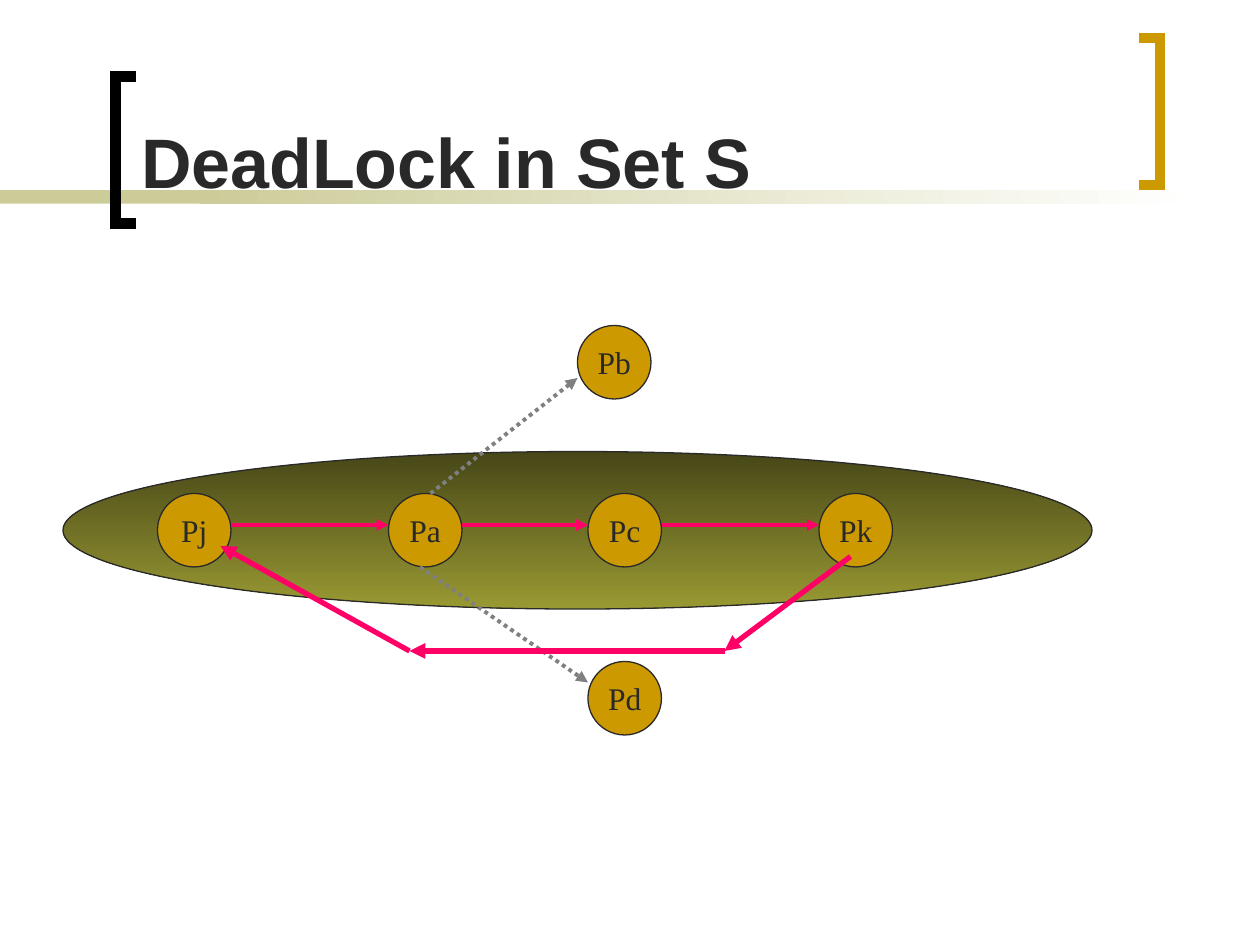
from dataclasses import dataclass
from itertools import pairwise

import pptx
import pptx.util
import pptx.dml.color
import pptx.enum.dml
import pptx.enum.shapes
import pptx.enum.text
import pptx.oxml
import pptx.oxml.ns

SHAPE = pptx.enum.shapes.MSO_SHAPE
ALIGN = pptx.enum.text.PP_ALIGN
ANCHOR = pptx.enum.text.MSO_ANCHOR
DOTS = pptx.enum.dml.MSO_LINE.ROUND_DOT
COLS, ROWS = 120, 90
WIDE, HIGH = pptx.util.Inches(10), pptx.util.Inches(7.5)
NODE = 7


@dataclass(frozen=True)
class Theme:
    ink: str = "292929"
    black: str = "000000"
    gold: str = "CC9900"
    sand: str = "CCCC99"
    white: str = "FFFFFF"
    dark: str = "474718"
    olive: str = "999933"
    pink: str = "FF0066"
    gray: str = "808080"
    head: str = "Arial"
    body: str = "Times New Roman"
    big: float = 40
    small: float = 18
    thin: float = 0.75
    mid: float = 2.25
    bold: float = 3
    thick: float = 6


LOOK = Theme()


def rgb(code):
    return pptx.dml.color.RGBColor.from_string(code)


def x_at(col):
    return round(WIDE * col / COLS)


def y_at(row):
    return round(HIGH * row / ROWS)


def place(box):
    left, top, width, height = box
    return x_at(left), y_at(top), x_at(width), y_at(height)


def apply(item, form):
    for name, value in form.items():
        setattr(item, name, value)


def mark(parent, tag, attrs=""):
    space = pptx.oxml.ns.nsdecls("a")
    parent.append(pptx.oxml.parse_xml(f"<a:{tag} {space} {attrs}/>"))


def stroke(line, color, width):
    line.color.rgb = rgb(color)
    line.width = pptx.util.Pt(width)


def paint(shape, fill, edge=None, angle=0):
    shape.shadow.inherit = False
    if isinstance(fill, tuple):
        shape.fill.gradient()
        shape.fill.gradient_angle = angle
        for stop, color in zip(shape.fill.gradient_stops, fill):
            stop.color.rgb = rgb(color)
    else:
        shape.fill.solid()
        shape.fill.fore_color.rgb = rgb(fill)
    if edge:
        stroke(shape.line, edge, LOOK.thin)
    else:
        shape.line.fill.background()


def write(shape, text, frame, para, font):
    apply(shape.text_frame, frame)
    line = shape.text_frame.paragraphs[0]
    line.text = text
    apply(line, para)
    apply(line.font, font)
    line.font.color.rgb = rgb(LOOK.ink)


def arrow(slide, start, end, color, width, dash=None):
    kind = pptx.enum.shapes.MSO_CONNECTOR.STRAIGHT
    link = slide.shapes.add_connector(
        kind, x_at(start[0]), y_at(start[1]), x_at(end[0]), y_at(end[1]))
    stroke(link.line, color, width)
    if dash:
        link.line.dash_style = dash
    mark(link.line._get_or_add_ln(), "tailEnd", 'type="triangle"')
    mark(link._element.spPr, "effectLst")


def band(slide, box):
    left, top, width, height = box
    parts = (((left, top, 28, height), LOOK.sand),
             ((left + 19, top, width - 19, height), (LOOK.sand, LOOK.white)))
    for area, fill in parts:
        paint(slide.shapes.add_shape(SHAPE.RECTANGLE, *place(area)), fill)


def bracket(slide, box, color, flip=False):
    left, top, width, height = box
    back, tip = (left + width, left) if flip else (left, left + width)
    spots = [(x_at(col), y_at(row)) for col, row in (
        (tip, top), (back, top), (back, top + height), (tip, top + height))]
    path = slide.shapes.build_freeform(*spots[0])
    path.add_line_segments(spots[1:], close=False)
    shape = path.convert_to_shape()
    shape.shadow.inherit = False
    shape.fill.background()
    stroke(shape.line, color, LOOK.thick)
    mark(shape.line._get_or_add_ln(), "miter", 'lim="800000"')


def title(slide, box, text):
    write(slide.shapes.add_textbox(*place(box)), text,
          {"word_wrap": True, "vertical_anchor": ANCHOR.BOTTOM},
          {"alignment": ALIGN.LEFT},
          {"name": LOOK.head, "size": pptx.util.Pt(LOOK.big), "bold": True})


def node(slide, box, text):
    shape = slide.shapes.add_shape(SHAPE.OVAL, *place(box))
    paint(shape, LOOK.gold, LOOK.ink)
    write(shape, text,
          {"word_wrap": False, "vertical_anchor": ANCHOR.MIDDLE},
          {"alignment": ALIGN.CENTER},
          {"name": LOOK.body, "size": pptx.util.Pt(LOOK.small)})


def graph(slide, box):
    left, top, width, height = box

    def spot(col, row):
        return left + col, top + row

    pool = slide.shapes.add_shape(
        SHAPE.OVAL, *place((*spot(0, 12), width, 15)))
    paint(pool, (LOOK.dark, LOOK.olive), LOOK.ink, 270)

    mid = 16
    chain = {"Pj": 9, "Pa": 31, "Pc": 50, "Pk": 72}
    nodes = {name: (col, mid) for name, col in chain.items()}
    nodes |= {"Pb": (49, 0), "Pd": (50, height - NODE)}
    for name, (col, row) in nodes.items():
        node(slide, (*spot(col, row), NODE, NODE), name)

    for here, there in pairwise(chain.values()):
        arrow(slide, spot(here + NODE, mid + 3), spot(there, mid + 3),
              LOOK.pink, LOOK.mid)
    for start, end in (((35, mid), (49, 5)), ((34, mid + NODE), (50, 34))):
        arrow(slide, spot(*start), spot(*end), LOOK.gray, LOOK.mid, DOTS)
    for start, end in pairwise(((75, 22), (63, 31), (33, 31), (15, 21))):
        arrow(slide, spot(*start), spot(*end), LOOK.pink, LOOK.bold)


def main():
    deck = pptx.Presentation()
    apply(deck, {"slide_width": WIDE, "slide_height": HIGH})
    slide = deck.slides.add_slide(deck.slide_layouts[6])
    band(slide, (0, 18.1, 114, 1.3))
    bracket(slide, (11, 7.3, 2, 14), LOOK.black)
    bracket(slide, (108.5, 3.6, 2, 14), LOOK.gold, True)
    title(slide, (12.25, 1.3, 94, 18.6), "DeadLock in Set S")
    graph(slide, (6, 31, 98, 39))
    deck.save("out.pptx")


if __name__ == "__main__":
    main()
